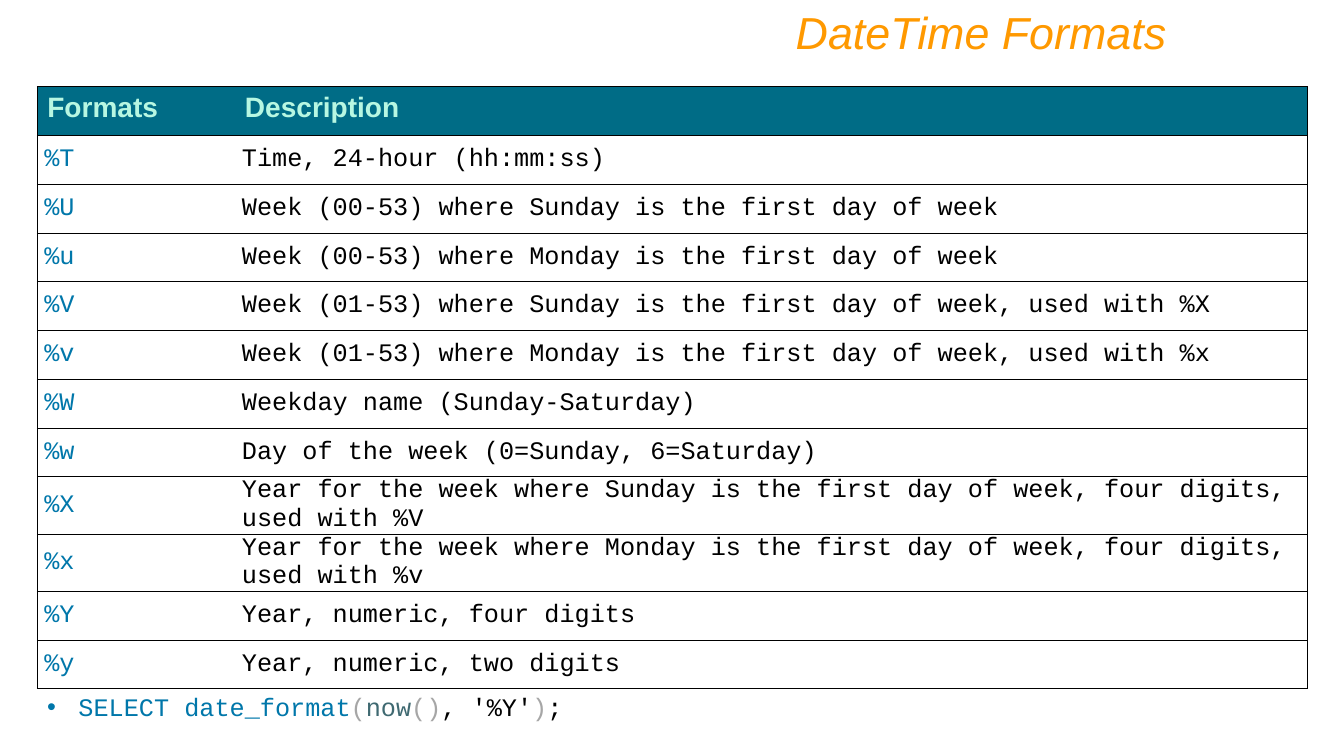
"""Build the DateTime Formats slide: a table of format codes and a sample query."""
import pptx
import pptx.dml.color
import pptx.enum.text
import pptx.oxml
import pptx.oxml.ns
import pptx.util

Inches = pptx.util.Inches
Pt = pptx.util.Pt

TITLE = "DateTime Formats"
HEAD = ("Formats", "Description")
ROWS = [
    ("%T", "Time, 24-hour (hh:mm:ss)"),
    ("%U", "Week (00-53) where Sunday is the first day of week"),
    ("%u", "Week (00-53) where Monday is the first day of week"),
    ("%V", "Week (01-53) where Sunday is the first day of week, used with %X"),
    ("%v", "Week (01-53) where Monday is the first day of week, used with %x"),
    ("%W", "Weekday name (Sunday-Saturday)"),
    ("%w", "Day of the week (0=Sunday, 6=Saturday)"),
    ("%X", "Year for the week where Sunday is the first day of week, four digits, used with %V"),
    ("%x", "Year for the week where Monday is the first day of week, four digits, used with %v"),
    ("%Y", "Year, numeric, four digits"),
    ("%y", "Year, numeric, two digits"),
]
QUERY = [
    ("SELECT date_format", "code"),
    ("(", "mark"),
    ("now", "func"),
    ("()", "mark"),
    (", '%Y'", "text"),
    (")", "mark"),
    (";", "text"),
]
THEME = {
    "title": "FF9900", "head": "B7F7E2", "band": "006C86", "code": "0077AA",
    "text": "000000", "mark": "A6A6A6", "func": "3F6971",
    "sans": "Arial", "mono": "Courier New",
    "title_size": 32, "head_size": 20, "body_size": 18, "rule": 0.75,
}
LEFT, TOP, HIGH = 0.37, 0.86, 5.81
COLS = (1.96, 10.64)


def tint(name):
    return pptx.dml.color.RGBColor.from_string(THEME[name])


def style(run, face, size, color, bold=False, italic=False):
    font = run.font
    font.name, font.size = THEME[face], Pt(THEME[size])
    font.bold, font.italic = bold, italic
    font.color.rgb = tint(color)


def element(tag, attrs, inner):
    space = pptx.oxml.ns.nsdecls("a")
    return pptx.oxml.parse_xml(f"<a:{tag} {space} {attrs}>{inner}</a:{tag}>")


def edge(cell, shown):
    props = cell._tc.get_or_add_tcPr()
    solid = f'<a:solidFill><a:srgbClr val="{THEME["text"]}"/></a:solidFill>'
    for spot, side in enumerate("LRTB"):
        fill = solid if side in shown else "<a:noFill/>"
        props.insert(spot, element(f"ln{side}", f'w="{Pt(THEME["rule"])}"', fill))


def add_box(slide, left, top, width, height):
    box = slide.shapes.add_textbox(*map(Inches, (left, top, width, height)))
    frame = box.text_frame
    frame.word_wrap = True
    frame.auto_size = pptx.enum.text.MSO_AUTO_SIZE.SHAPE_TO_FIT_TEXT
    return frame.paragraphs[0]


def add_grid(slide):
    lines = [HEAD] + ROWS
    frame = slide.shapes.add_table(
        len(lines), len(COLS), *map(Inches, (LEFT, TOP, sum(COLS), HIGH)))
    table = frame.table
    table.first_row = table.horz_banding = False
    for col, width in zip(table.columns, COLS):
        col.width = Inches(width)
    for r, line in enumerate(lines):
        table.rows[r].height = Inches(HIGH / len(lines))
        for c, text in enumerate(line):
            cell = table.cell(r, c)
            cell.text_frame.text = text
            run = cell.text_frame.paragraphs[0].runs[0]
            if r == 0:
                cell.fill.solid()
                cell.fill.fore_color.rgb = tint("band")
                style(run, "sans", "head_size", "head", bold=True)
            else:
                cell.fill.background()
                cell.vertical_anchor = pptx.enum.text.MSO_ANCHOR.MIDDLE
                cell.margin_left = cell.margin_right = Inches(0.07)
                cell.margin_top = cell.margin_bottom = 0
                style(run, "mono", "body_size", ("code", "text")[c])
            edge(cell, ("LTB", "RTB")[c])


def add_title(slide):
    para = add_box(slide, 1.67, 0, 10, 0.64)
    para.text = TITLE
    para.alignment = pptx.enum.text.PP_ALIGN.RIGHT
    style(para.runs[0], "sans", "title_size", "title", italic=True)


def add_query(slide):
    para = add_box(slide, LEFT, 6.81, 9.67, 0.4)
    props = para._p.get_or_add_pPr()
    props.set("marL", str(Inches(0.31)))
    props.set("indent", str(Inches(-0.31)))
    props.append(element("buFont", f'typeface="{THEME["sans"]}"', ""))
    props.append(element("buChar", 'char="•"', ""))
    for text, color in QUERY:
        run = para.add_run()
        run.text = text
        style(run, "mono", "body_size", color)


def main():
    deck = pptx.Presentation()
    deck.slide_width, deck.slide_height = Inches(13.33), Inches(7.5)
    slide = deck.slides.add_slide(deck.slide_layouts[6])
    add_grid(slide)
    add_title(slide)
    add_query(slide)
    deck.save("out.pptx")


if __name__ == "__main__":
    main()
